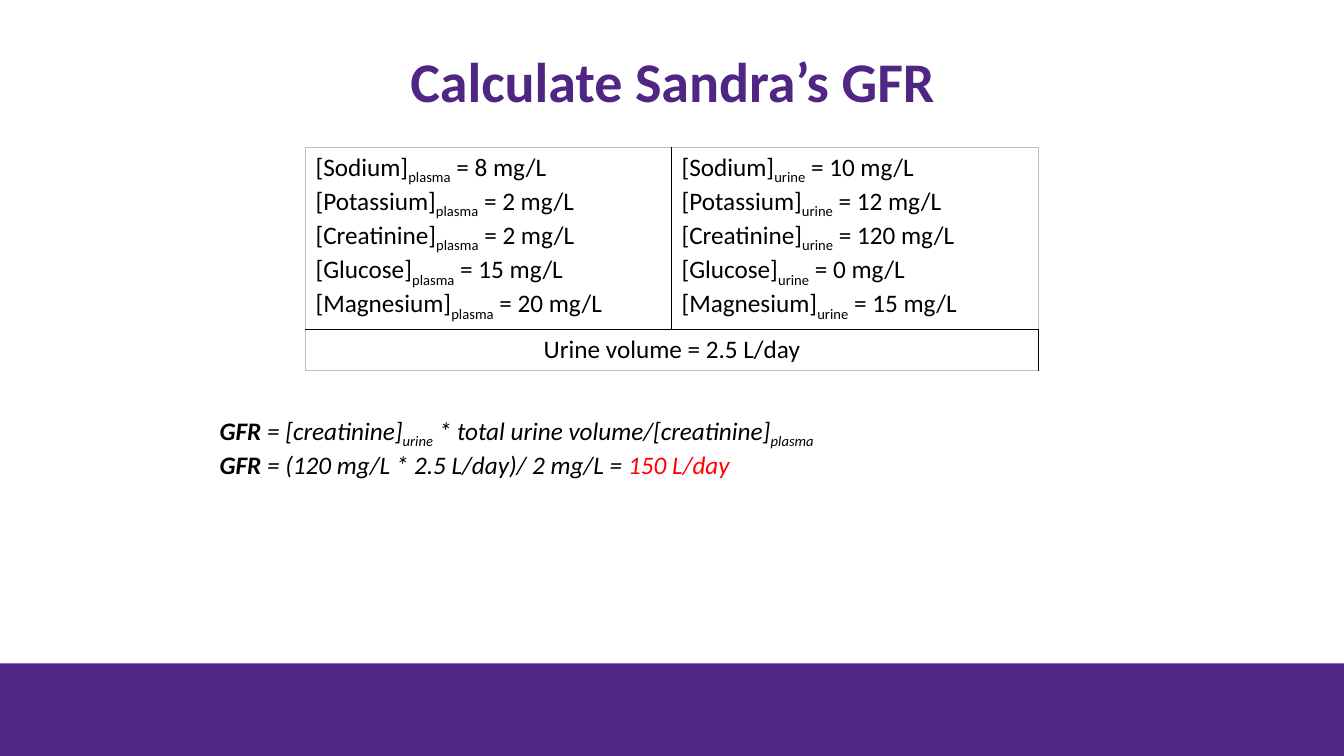
from lxml import etree
from pptx import Presentation
from pptx import util as u
from pptx.dml.color import RGBColor
from pptx.enum import shapes, text
from pptx.oxml import ns

PURPLE, BLACK, GRAY, RED = "4F2683", "000000", "BFBFBF", "FF0000"


def color(code):
    return RGBColor.from_string(code)


class Board:
    font = "Calibri"

    def __init__(self, slide):
        self.slide = slide

    def runs(self, para, parts, size=18, ink=BLACK, italic=False):
        for words, style in parts:
            run = para.add_run()
            run.text = words
            font = run.font
            font.name, font.size = self.font, u.Pt(size)
            font.bold, font.italic = style == "bold", italic
            font.color.rgb = color(RED if style == "red" else ink)
            if style == "sub":
                run._r.get_or_add_rPr().set("baseline", "-25000")

    def fill(self, frame, lines, align=text.PP_ALIGN.LEFT, space=None, **style):
        for i, parts in enumerate(lines):
            para = frame.add_paragraph() if i else frame.paragraphs[0]
            para.alignment = align
            if space:
                para.line_spacing = space
            self.runs(para, parts, **style)

    def label(self, spot, lines, anchor=text.MSO_ANCHOR.TOP, **style):
        box = self.slide.shapes.add_textbox(*map(u.Inches, spot))
        frame = box.text_frame
        frame.word_wrap = True
        frame.vertical_anchor = anchor
        self.fill(frame, lines, **style)

    def bar(self, spot, tint):
        kind = shapes.MSO_SHAPE.RECTANGLE
        bar = self.slide.shapes.add_shape(kind, *map(u.Inches, spot))
        bar.shadow.inherit = False
        bar.fill.solid()
        bar.fill.fore_color.rgb = color(tint)
        bar.line.fill.background()

    def edge(self, cell, side, tint):
        line = etree.SubElement(cell._tc.get_or_add_tcPr(), ns.qn("a:ln" + side), w="12700")
        solid = etree.SubElement(line, ns.qn("a:solidFill"))
        etree.SubElement(solid, ns.qn("a:srgbClr"), val=tint)

    def table(self, left, top, cols, rows):
        size = map(u.Inches, (left, top, sum(cols), sum(rows)))
        table = self.slide.shapes.add_table(len(rows), len(cols), *size).table
        table.first_row = table.horz_banding = False
        for col, width in zip(table.columns, cols):
            col.width = u.Inches(width)
        for row, height in zip(table.rows, rows):
            row.height = u.Inches(height)
        for r in range(len(rows)):
            for c in range(len(cols)):
                cell = table.cell(r, c)
                outer = {"L": c == 0, "R": c == len(cols) - 1,
                         "T": r == 0, "B": r == len(rows) - 1}
                for side, rim in outer.items():
                    self.edge(cell, side, GRAY if rim else BLACK)
                cell.fill.background()
        return table


def main():
    deck = Presentation()
    deck.slide_width, deck.slide_height = u.Inches(13.33), u.Inches(7.5)
    board = Board(deck.slides.add_slide(deck.slide_layouts[6]))
    center = text.PP_ALIGN.CENTER

    board.label((0.92, 0.22, 11.5, 1.24), [[("Calculate Sandra’s GFR", "bold")]],
                anchor=text.MSO_ANCHOR.MIDDLE, align=center, space=0.9,
                size=40, ink=PURPLE)
    board.bar((0, 6.58, 13.33, 0.92), PURPLE)

    names = ["Sodium", "Potassium", "Creatinine", "Glucose", "Magnesium"]
    levels = {"plasma": [8, 2, 2, 15, 20], "urine": [10, 12, 120, 0, 15]}
    table = board.table(3.03, 1.46, [3.63, 3.64], [1.79, 0.41])
    for c, (fluid, values) in enumerate(levels.items()):
        lines = [[(f"[{name}]", ""), (fluid, "sub"), (f" = {value} mg/L", "")]
                 for name, value in zip(names, values)]
        board.fill(table.cell(0, c).text_frame, lines)
    total = table.cell(1, 0)
    total.merge(table.cell(1, 1))
    board.fill(total.text_frame, [[("Urine volume = 2.5 L/day", "")]], align=center)

    board.label((2.08, 4.07, 9.44, 1.01), [
        [("GFR", "bold"), (" = [creatinine]", ""), ("urine", "sub"),
         (" * total urine volume/[creatinine]", ""), ("plasma", "sub")],
        [("GFR ", "bold"), ("= (120 mg/L * 2.5 L/day)/ 2 mg/L = ", ""),
         ("150 L/day", "red")],
    ], italic=True)
    deck.save("out.pptx")


if __name__ == "__main__":
    main()
